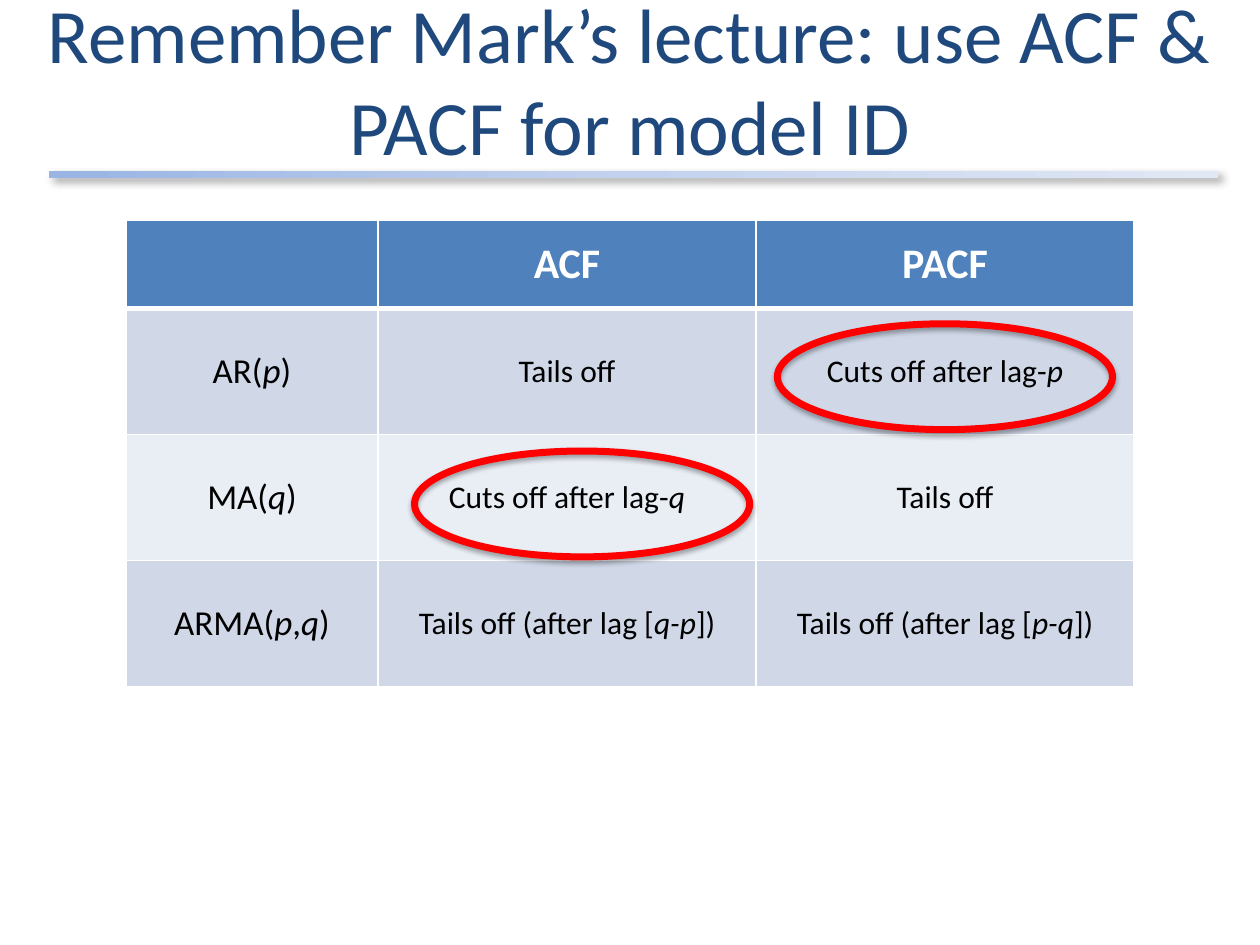
from lxml import etree
from pptx import Presentation
from pptx.dml.color import RGBColor
from pptx.enum.shapes import MSO_SHAPE
from pptx.enum.text import MSO_ANCHOR, PP_ALIGN
from pptx.oxml.ns import qn
from pptx.util import Inches, Pt

RECT, OVAL = MSO_SHAPE.RECTANGLE, MSO_SHAPE.OVAL
MIDDLE, CENTER = MSO_ANCHOR.MIDDLE, PP_ALIGN.CENTER

FONT = "Calibri"
NAVY, BLUE, RED = "1F497D", "4F81BD", "FF0000"
WHITE, BLACK = "FFFFFF", "000000"
BANDS = ["D0D8E8", "E9EDF4"]
FADE = [(0, "9AB5E4"), (50, "C2D1ED"), (100, "E1E8F5")]

# Asterisks enclose italic text
ROWS = [
    ["", "ACF", "PACF"],
    ["AR(*p*)", "Tails off", "Cuts off after lag-*p*"],
    ["MA(*q*)", "Cuts off after lag-*q*", "Tails off"],
    ["ARMA(*p*,*q*)", "Tails off (after lag [*q-p*])",
     "Tails off (after lag [*p-q*])"],
]


def color(code):
    return RGBColor.from_string(code)


def add_node(parent, tag, **attrs):
    node = etree.SubElement(parent, qn(tag))
    for name, value in attrs.items():
        node.set(name, str(value))
    return node


class Deck:
    def __init__(self, wide, high):
        self.prs = Presentation()
        self.prs.slide_width, self.prs.slide_height = Inches(wide), Inches(high)
        self.slide = self.prs.slides.add_slide(self.prs.slide_layouts[5])

    def place(self, shape, box):
        shape.left, shape.top, shape.width, shape.height = map(Inches, box)

    def label(self, frame, text, size, ink, bold=False):
        frame.word_wrap = True
        para = frame.paragraphs[0]
        para.alignment = CENTER
        font = para.font
        font.name, font.size, font.bold = FONT, Pt(size), bold
        font.color.rgb = color(ink)
        for i, part in enumerate(text.split("*")):
            if part:
                run = para.add_run()
                run.text = part
                if i % 2:
                    run.font.italic = True

    def title(self, text, box):
        shape = self.slide.shapes.title
        self.place(shape, box)
        shape.text_frame.vertical_anchor = MIDDLE
        self.label(shape.text_frame, text, 44, NAVY)

    def shadow(self, shape, alpha, blur, dist, angle):
        shape.shadow.inherit = False
        effects = shape._element.spPr.find(qn("a:effectLst"))
        outer = add_node(effects, "a:outerShdw", blurRad=Pt(blur),
                         dist=Pt(dist), dir=angle * 60000, rotWithShape=0)
        tint = add_node(outer, "a:srgbClr", val=BLACK)
        add_node(tint, "a:alpha", val=alpha * 1000)

    def bar(self, box, stops):
        shape = self.slide.shapes.add_shape(RECT, *map(Inches, box))
        shape.line.fill.background()
        shape.fill.gradient()
        shape.fill.gradient_angle = 0
        group = shape._element.spPr.find(qn("a:gradFill")).find(qn("a:gsLst"))
        for old in list(group):
            group.remove(old)
        for pos, code in stops:
            stop = add_node(group, "a:gs", pos=pos * 1000)
            add_node(stop, "a:srgbClr", val=code)
        self.shadow(shape, 40, 5, 3, 45)

    def ring(self, box):
        shape = self.slide.shapes.add_shape(OVAL, *map(Inches, box))
        shape.fill.background()
        shape.line.color.rgb = color(RED)
        shape.line.width = Pt(4)
        self.shadow(shape, 35, 3.1, 1.8, 90)

    def border(self, cell, top, bottom):
        # Borders come before the fill in the cell properties
        props = cell._tc.get_or_add_tcPr()
        for side, width in zip("LRTB", (1, 1, top, bottom)):
            line = add_node(props, f"a:ln{side}", w=Pt(width))
            fill = add_node(line, "a:solidFill")
            add_node(fill, "a:srgbClr", val=WHITE)

    def table(self, rows, left, top, widths, heights):
        box = map(Inches, (left, top, sum(widths), sum(heights)))
        grid = self.slide.shapes.add_table(len(rows), len(widths), *box).table
        for col, width in zip(grid.columns, widths):
            col.width = Inches(width)
        for row, high in zip(grid.rows, heights):
            row.height = Inches(high)
        for r, row in enumerate(rows):
            head = r == 0
            for c, text in enumerate(row):
                cell = grid.cell(r, c)
                self.border(cell, 3 if r == 1 else 1, 3 if head else 1)
                cell.fill.solid()
                cell.fill.fore_color.rgb = color(BLUE if head else BANDS[(r - 1) % 2])
                cell.vertical_anchor = MIDDLE
                size = 24 if head else 18 if c else 20
                self.label(cell.text_frame, text, size,
                           WHITE if head else BLACK, head)


def main():
    deck = Deck(10, 7.5)

    # Title and rule
    deck.title("Remember Mark’s lecture: use ACF & PACF for model ID",
               (0, 0, 10, 1.25))
    deck.bar((0.39, 1.36, 9.28, 0.05), FADE)

    # Model table
    deck.table(ROWS, 1, 1.75, [2, 3, 3], [0.7, 1, 1, 1])

    # Rings around the cut-off cells
    for left, top in [(6.17, 2.57), (3.29, 3.58)]:
        deck.ring((left, top, 2.66, 0.84))

    deck.prs.save("out.pptx")


if __name__ == "__main__":
    main()
